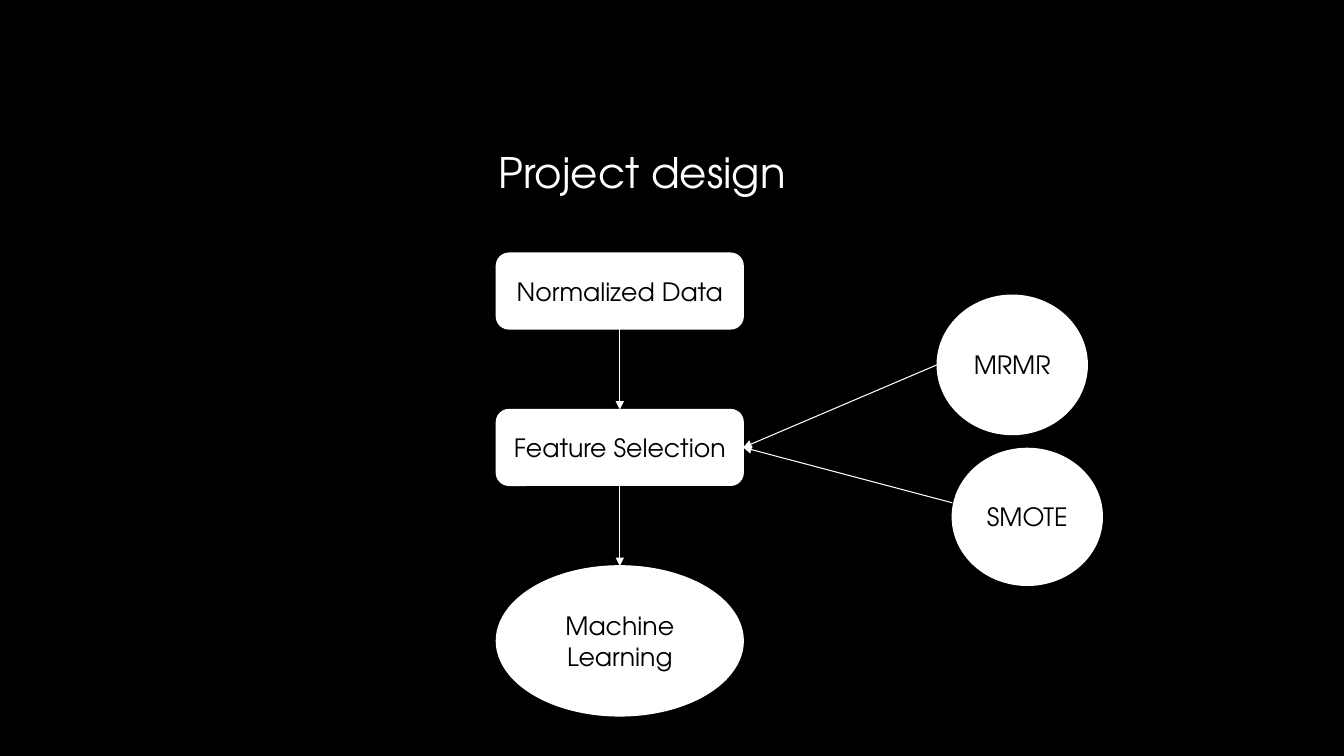
from lxml import etree
from pptx import Presentation
from pptx.dml.color import RGBColor
from pptx.enum.shapes import MSO_CONNECTOR, MSO_SHAPE
from pptx.enum.text import MSO_ANCHOR, PP_ALIGN
from pptx.oxml.ns import qn
from pptx.util import Cm, Pt

ROUND = MSO_SHAPE.ROUNDED_RECTANGLE
OVAL = MSO_SHAPE.OVAL
LINE = MSO_CONNECTOR.STRAIGHT
MIDDLE = MSO_ANCHOR.MIDDLE
CENTER = PP_ALIGN.CENTER
FONT = "TeX Gyre Adventor"
BLACK, WHITE = "000000", "FFFFFF"
TOP, BOTTOM, RIGHT = 0, 2, 3


def color(code):
    return RGBColor.from_string(code)


def write(frame, text, size, code):
    frame.word_wrap = True
    frame.text = text
    font = frame.paragraphs[0].runs[0].font
    font.name, font.size = FONT, Pt(size)
    font.color.rgb = color(code)


def add_node(slide, kind, text, left, top, width, height):
    node = slide.shapes.add_shape(kind, Cm(left), Cm(top), Cm(width), Cm(height))
    node.shadow.inherit = False
    node.fill.solid()
    node.fill.fore_color.rgb = color(WHITE)
    node.line.color.rgb = color(WHITE)
    node.line.width = Pt(1)
    write(node.text_frame, text, 18, BLACK)
    node.text_frame.vertical_anchor = MIDDLE
    node.text_frame.paragraphs[0].alignment = CENTER
    return node


def add_arrow(slide, x, y, target, site):
    arrow = slide.shapes.add_connector(LINE, x, y, x, y)
    arrow.end_connect(target, site)
    arrow.line.color.rgb = color(WHITE)
    arrow.line.width = Pt(0.75)
    line = arrow.line._get_or_add_ln()
    etree.SubElement(line, qn("a:tailEnd"), type="triangle")
    etree.SubElement(arrow._element.spPr, qn("a:effectLst"))
    return arrow


def add_title(slide, left, top, width, height):
    box = slide.shapes.add_textbox(Cm(left), Cm(top), Cm(width), Cm(height))
    write(box.text_frame, "Project design", 30, WHITE)


def add_flow(slide, left, top, width, height):
    """Stack the steps with equal gaps, and return the middle one."""
    step, final = 1.91, 3.78
    gap = (height - 2 * step - final) / 2
    data = add_node(slide, ROUND, "Normalized Data", left, top, width, step)
    choice = add_node(slide, ROUND, "Feature Selection",
                      left, top + step + gap, width, step)
    model = add_node(slide, OVAL, "Machine Learning",
                     left, top + height - final, width, final)
    for start, end in ((data, choice), (choice, model)):
        middle = start.left + start.width // 2
        arrow = add_arrow(slide, middle, start.top + start.height, end, TOP)
        arrow.begin_connect(start, BOTTOM)
    return choice


def add_methods(slide, left, top, target):
    """Place the method circles, each with an arrow to the target."""
    methods = (  # name, shift right, shift down, height, arrow start
        ("MRMR", 0, 0, 3.51, 1.75),
        ("SMOTE", 0.38, 3.86, 3.45, 1.37),
    )
    for name, right, down, height, start in methods:
        node = add_node(slide, OVAL, name, left + right, top + down, 3.78, height)
        add_arrow(slide, node.left, node.top + Cm(start), target, RIGHT)


def main():
    deck = Presentation()
    deck.slide_width, deck.slide_height = Cm(33.87), Cm(19.05)
    slide = deck.slides.add_slide(deck.slide_layouts[6])
    slide.background.fill.solid()
    slide.background.fill.fore_color.rgb = color(BLACK)

    # Title, main flow and side methods
    add_title(slide, 12.32, 3.58, 8.18, 1.55)
    choice = add_flow(slide, 12.51, 6.38, 6.22, 11.66)
    add_methods(slide, 23.62, 7.44, choice)

    deck.save("out.pptx")


if __name__ == "__main__":
    main()
